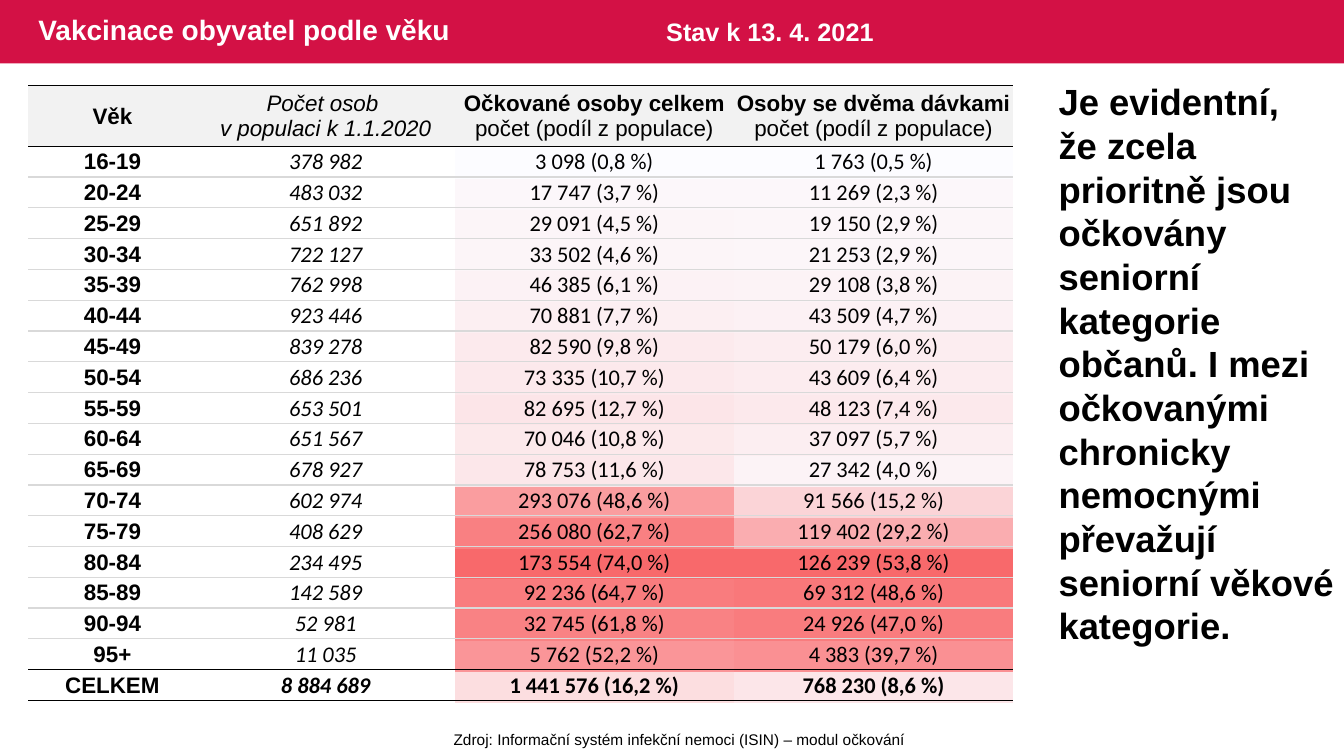
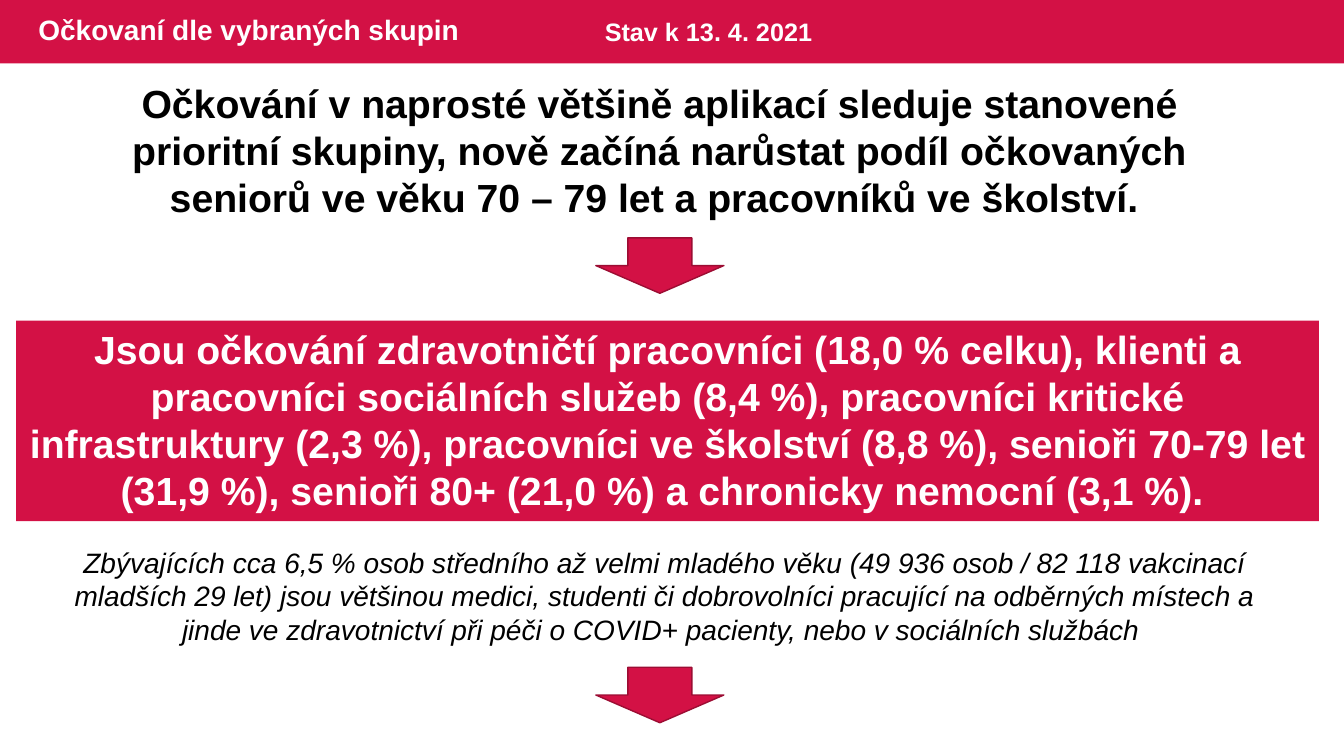
from math import ceil

from lxml.etree import SubElement
from pptx import Presentation
from pptx.dml.color import RGBColor
from pptx.enum.shapes import MSO_SHAPE as Shape
from pptx.enum.text import MSO_ANCHOR as Anchor, MSO_AUTO_SIZE as AutoSize, PP_ALIGN as Align
from pptx.oxml.ns import qn
from pptx.util import Inches, Pt

COLORS = {
    "brand": "D31145",
    "brand_dark": "9C0D33",
    "white": "FFFFFF",
    "text": "000000",
    "header": "F2F2F2",
    "grid": "D9D9D9",
    "scale_low": "FCFCFF",
    "scale_high": "F8696B",
}
STATUS = "Stav k 13. 4. 2021"

# Each header line: text, bold, italic
HEADERS = [
    [("Věk", True, False)],
    [("Počet osob ", False, True), ("v populaci k 1.1.2020", False, True)],
    [("Očkované osoby celkem", True, False), ("počet (podíl z populace)", False, False)],
    [("Osoby se dvěma dávkami", True, False), ("počet (podíl z populace)", False, False)],
]
# Age group, population, vaccinated, vaccinated with two doses
AGE_GROUPS = [
    ("16-19", 378982, 3098, 1763),
    ("20-24", 483032, 17747, 11269),
    ("25-29", 651892, 29091, 19150),
    ("30-34", 722127, 33502, 21253),
    ("35-39", 762998, 46385, 29108),
    ("40-44", 923446, 70881, 43509),
    ("45-49", 839278, 82590, 50179),
    ("50-54", 686236, 73335, 43609),
    ("55-59", 653501, 82695, 48123),
    ("60-64", 651567, 70046, 37097),
    ("65-69", 678927, 78753, 27342),
    ("70-74", 602974, 293076, 91566),
    ("75-79", 408629, 256080, 119402),
    ("80-84", 234495, 173554, 126239),
    ("85-89", 142589, 92236, 69312),
    ("90-94", 52981, 32745, 24926),
    ("95+", 11035, 5762, 4383),
    ("CELKEM", 8884689, 1441576, 768230),
]
SHARES = [[done / population for done in doses] for _, population, *doses in AGE_GROUPS]
ROW_HEIGHTS = [5.5 / len(AGE_GROUPS)] * len(AGE_GROUPS)


def rgb(name):
    return RGBColor.from_string(COLORS[name])


def style(para, size, color="text", bold=False, italic=False, font="Arial", align=Align.LEFT):
    para.alignment = align
    para.font.name = font
    para.font.size = Pt(size)
    para.font.bold = bold
    para.font.italic = italic
    para.font.color.rgb = rgb(color)


def write(frame, lines, size, **look):
    for index, line in enumerate(lines):
        para = frame.add_paragraph() if index else frame.paragraphs[0]
        para.text = line
        style(para, size, **look)


def add_text(page, box, lines, size, wrap=True, **look):
    frame = page.shapes.add_textbox(*map(Inches, box)).text_frame
    frame.word_wrap = wrap
    frame.auto_size = AutoSize.SHAPE_TO_FIT_TEXT
    write(frame, lines, size, **look)


def add_block(page, kind, box, line=None):
    block = page.shapes.add_shape(kind, *map(Inches, box))
    block.shadow.inherit = False
    block.fill.solid()
    block.fill.fore_color.rgb = rgb("brand")
    if line:
        block.line.color.rgb = rgb(line)
        block.line.width = Pt(1)
    else:
        block.line.fill.background()
    return block


def add_page(deck, title, status_left):
    """Add a slide with its title and status date; the first one gives the layout its band."""
    layout = deck.slide_layouts[5]
    page = deck.slides.add_slide(layout)
    if len(deck.slides) == 1:
        band = add_block(page, Shape.RECTANGLE, (0, 0, 13.33, 0.63))
        layout.shapes[0]._element.addprevious(band._element)
    heading = page.shapes.title
    heading.left, heading.top, heading.width, heading.height = map(Inches, (0.28, 0, 8.13, 0.63))
    frame = heading.text_frame
    frame.vertical_anchor = Anchor.MIDDLE
    frame.auto_size = AutoSize.NONE
    write(frame, [title], 20, color="white", bold=True)
    frame.paragraphs[0].line_spacing = 0.9
    add_text(page, (status_left, 0.11, 2.96, 0.4), [STATUS], 18, color="white", bold=True)
    return page


def add_grid(page, left, top, widths, heights):
    """Add an unstyled table with the given column widths and row heights."""
    table = page.shapes.add_table(len(heights), len(widths), Inches(left), Inches(top),
                                  Inches(sum(widths)), Inches(sum(heights))).table
    table.first_row = table.horz_banding = False
    for column, width in zip(table.columns, widths):
        column.width = Inches(width)
    for row, height in zip(table.rows, heights):
        row.height = Inches(height)
    return table


def format_cell(cell, top=None, bottom=None, fill=None):
    """Set margins, horizontal borders and fill; borders must precede the fill."""
    cell.margin_left = cell.margin_right = cell.margin_top = Inches(0.01)
    cell.margin_bottom = 0
    cell.vertical_anchor = Anchor.MIDDLE
    properties = cell._tc.get_or_add_tcPr()
    for side, color in (("L", None), ("R", None), ("T", top), ("B", bottom)):
        border = SubElement(properties, qn(f"a:ln{side}"), w=str(Pt(1)))
        if color:
            solid = SubElement(border, qn("a:solidFill"))
            SubElement(solid, qn("a:srgbClr"), val=COLORS[color])
        else:
            SubElement(border, qn("a:noFill"))
    if fill is None:
        cell.fill.background()
    else:
        cell.fill.solid()
        cell.fill.fore_color.rgb = fill


def scale_color(share, low, high):
    """Two-colour scale between the lowest and the highest share."""
    ratio = (share - low) / (high - low)
    return RGBColor(*(ceil(start + (end - start) * ratio)
                      for start, end in zip(rgb("scale_low"), rgb("scale_high"))))


def add_heat_table(page, left, top):
    table = add_grid(page, left, top, (2.77, 2.77), ROW_HEIGHTS)
    for column, shares in enumerate(zip(*SHARES)):
        for row, share in enumerate(shares):
            cell = table.cell(row, column)
            format_cell(cell, fill=scale_color(share, min(shares), max(shares)))
            cell.text_frame.paragraphs[0].font.size = Pt(16)


def grouped(number):
    return f"{number:,}".replace(",", " ")


def add_age_table(page, left, top):
    table = add_grid(page, left, top, (1.67, 2.56, 2.77, 2.77), [0.6] + ROW_HEIGHTS)
    for column, lines in enumerate(HEADERS):
        cell = table.cell(0, column)
        format_cell(cell, "text", "text", rgb("header"))
        write(cell.text_frame, [line[0] for line in lines], 16)
        for para, (_, bold, italic) in zip(cell.text_frame.paragraphs, lines):
            style(para, 16, bold=bold, italic=italic, align=Align.CENTER)

    count = len(AGE_GROUPS)
    for index, (age, population, *doses) in enumerate(AGE_GROUPS):
        is_total = index == count - 1
        texts = [age, grouped(population)]
        for done, share in zip(doses, SHARES[index]):
            percent = f"{share * 100:.1f}".replace(".", ",")
            texts.append(f"{grouped(done)} ({percent} %)")
        upper = "text" if index == 0 or is_total else "grid"
        lower = "text" if index >= count - 2 else "grid"
        for column, text in enumerate(texts):
            cell = table.cell(index + 1, column)
            format_cell(cell, upper, lower)
            write(cell.text_frame, [text], 16, bold=column == 0 or is_total, italic=column == 1,
                  font="Calibri" if column else "Arial", align=Align.CENTER)


def add_age_page(deck):
    page = add_page(deck, "Vakcinace obyvatel podle věku", 6.51)
    add_heat_table(page, 4.51, 1.47)
    add_text(page, (4.39, 7.19, 4.7, 0.29),
             ["Zdroj: Informační systém infekční nemoci (ISIN) – modul očkování"],
             11, wrap=False, align=Align.CENTER)
    add_age_table(page, 0.28, 0.85)
    add_text(page, (10.4, 0.74, 2.95, 6.23),
             ["Je evidentní,",
              "že zcela prioritně jsou očkovány seniorní kategorie občanů. I mezi očkovanými "
              "chronicky nemocnými převažují seniorní věkové kategorie."], 26, bold=True)


def add_groups_page(deck):
    page = add_page(deck, "Očkovaní dle vybraných skupin", 5.9)
    add_text(page, (0.7, 0.74, 11.68, 1.51),
             ["Očkování v naprosté většině aplikací sleduje stanovené prioritní skupiny, nově "
              "začíná narůstat podíl očkovaných seniorů ve věku 70 – 79 let a pracovníků ve "
              "školství. "], 28, bold=True, align=Align.CENTER)
    for top in (2.36, 6.62):
        add_block(page, Shape.DOWN_ARROW, (5.91, top, 1.27, 0.55), line="brand_dark")
    panel = add_block(page, Shape.RECTANGLE, (0.16, 3.18, 12.92, 1.99)).text_frame
    panel.word_wrap = True
    panel.auto_size = AutoSize.SHAPE_TO_FIT_TEXT
    panel.vertical_anchor = Anchor.TOP
    write(panel,
          ["Jsou očkování zdravotničtí pracovníci (18,0 % celku), klienti a pracovníci sociálních "
           "služeb (8,4 %), pracovníci kritické infrastruktury (2,3 %), pracovníci ve školství "
           "(8,8 %), senioři 70-79 let (31,9 %), senioři 80+ (21,0 %) a chronicky nemocní "
           "(3,1 %). "], 28, color="white", bold=True, align=Align.CENTER)
    add_text(page, (0.31, 5.36, 12.57, 1.11),
             ["Zbývajících cca 6,5 % osob středního až velmi mladého věku (49 936 osob / 82 118 "
              "vakcinací mladších 29 let) jsou většinou medici, studenti či dobrovolníci pracující "
              "na odběrných místech a jinde ve zdravotnictví při péči o COVID+ pacienty, nebo "
              "v sociálních službách "], 20, italic=True, align=Align.CENTER)


def main():
    deck = Presentation()
    deck.slide_width, deck.slide_height = Inches(13.33), Inches(7.5)
    add_age_page(deck)
    add_groups_page(deck)
    deck.save("out.pptx")


if __name__ == "__main__":
    main()
